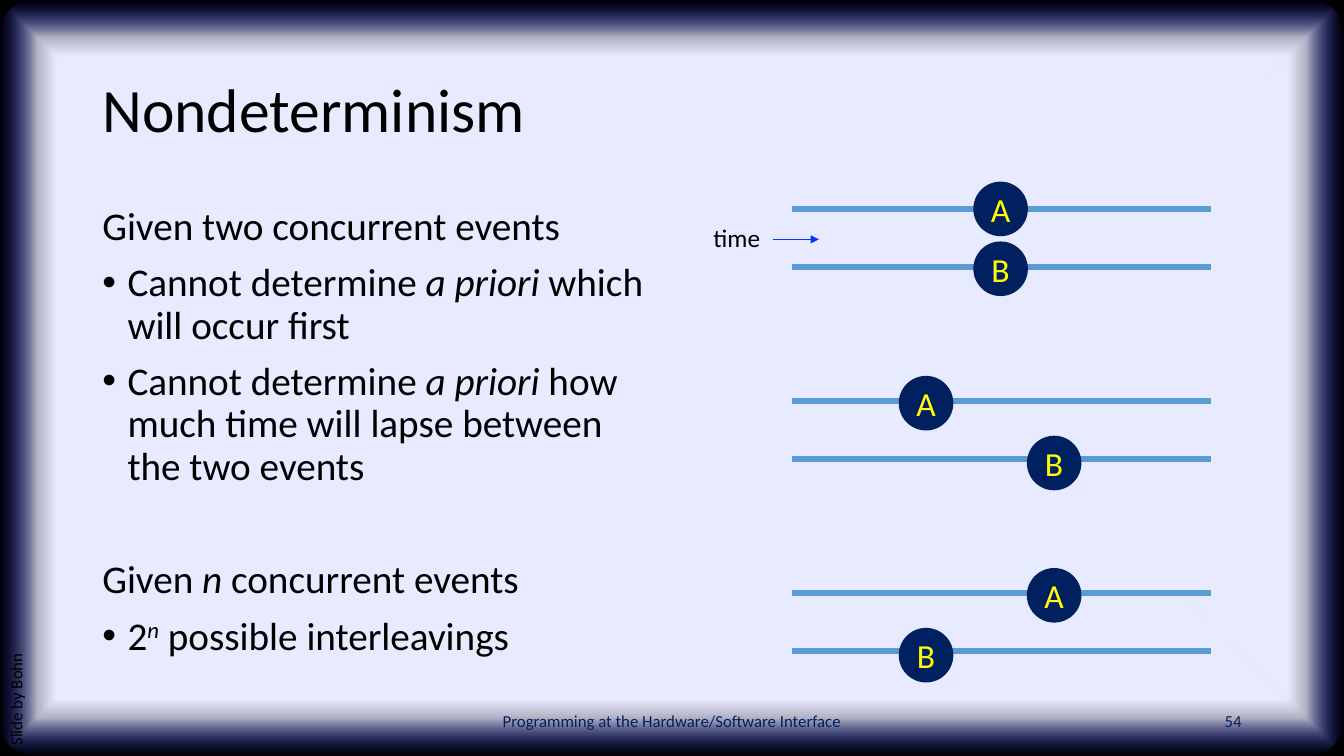
"""Build a slide on the nondeterminism of concurrent events."""
from lxml.etree import SubElement as Sub
from pptx import Presentation
from pptx.dml.color import RGBColor
from pptx.enum.shapes import MSO_CONNECTOR as Link, MSO_SHAPE as Form
from pptx.enum.text import MSO_ANCHOR as Anchor, PP_ALIGN as Align
from pptx.oxml import parse_xml
from pptx.oxml.ns import nsdecls, qn
from pptx.util import Pt

SCALE = 9525
BLACK = RGBColor(0x00, 0x00, 0x00)
NAVY = RGBColor(0x00, 0x20, 0x60)
SKY = RGBColor(0x5B, 0x9B, 0xD5)
BLUE = RGBColor(0x04, 0x32, 0xFF)
YELLOW = RGBColor(0xFF, 0xFF, 0x00)
FACE = "Calibri"

GLOW = f"""<a:gradFill rotWithShape="1" {nsdecls('a')}><a:gsLst>
<a:gs pos="85000"><a:srgbClr val="E8EAFF"/></a:gs>
<a:gs pos="90000"><a:srgbClr val="E8EAFF"><a:alpha val="75000"/></a:srgbClr></a:gs>
<a:gs pos="100000"><a:srgbClr val="162AFF"><a:alpha val="0"/></a:srgbClr></a:gs>
</a:gsLst><a:path path="shape">
<a:fillToRect l="50000" t="50000" r="50000" b="50000"/></a:path></a:gradFill>"""

BODY = [
    ("Given two concurrent events", False, 0),
    ("Cannot determine *a priori* which will occur first", True, 10),
    ("Cannot determine *a priori* how much time will lapse between the two events",
     True, 10),
    ("Given *n* concurrent events", False, 51),
    ("2*n* possible interleavings", True, 10),
]
PAIRS = [(173, 927, 927), (358, 856, 978), (541, 978, 856)]


def px(*sizes):
    """Turn pixel lengths into EMU."""
    return [size * SCALE for size in sizes]


def style(para, size, color, align=Align.LEFT):
    """Set the font and alignment of a paragraph."""
    para.alignment = align
    font = para.font
    font.name, font.size, font.color.rgb = FACE, Pt(size), color


def label(slide, box, text, size, color=BLACK, align=Align.LEFT,
          anchor=Anchor.MIDDLE, wrap=True):
    """Add a text box with one line of text."""
    shape = slide.shapes.add_textbox(*px(*box))
    frame = shape.text_frame
    frame.word_wrap, frame.vertical_anchor = wrap, anchor
    frame.text = text
    style(frame.paragraphs[0], size, color, align)
    return shape


def bullet(para):
    """Give a paragraph a hanging bullet."""
    props = para._p.get_or_add_pPr()
    props.set("marL", str(24 * SCALE))
    props.set("indent", str(-24 * SCALE))
    Sub(props, qn("a:buFont"), typeface="Arial")
    Sub(props, qn("a:buChar"), char="•")


def body(slide):
    """Add the main text, with starred words in italics."""
    frame = slide.shapes.add_textbox(*px(88, 192, 544, 457)).text_frame
    frame.word_wrap = True
    for row, (text, dot, gap) in enumerate(BODY):
        para = frame.add_paragraph() if row else frame.paragraphs[0]
        para.line_spacing, para.space_before = 0.9, Pt(gap)
        if dot:
            bullet(para)
        style(para, 28, BLACK)
        for part, words in enumerate(text.split("*")):
            run = para.add_run()
            run.text = words
            if part % 2:
                run.font.italic = True
    power = frame.paragraphs[-1].runs[1]
    power._r.get_or_add_rPr().set("baseline", "30000")


def line(slide, left, right, y, color, width):
    """Add a level line and return it."""
    link = slide.shapes.add_connector(Link.STRAIGHT, *px(left, y, right, y))
    link.line.color.rgb, link.line.width = color, Pt(width)
    Sub(link._element.spPr, qn("a:effectLst"))
    return link


def event(slide, x, y, name):
    """Add a round event marker."""
    dot = slide.shapes.add_shape(Form.OVAL, *px(x, y, 52, 52))
    dot.shadow.inherit = False
    dot.fill.solid()
    dot.fill.fore_color.rgb = NAVY
    dot.line.fill.background()
    frame = dot.text_frame
    frame.margin_left = frame.margin_right = 0
    frame.vertical_anchor = Anchor.MIDDLE
    frame.text = name
    style(frame.paragraphs[0], 24, YELLOW, Align.CENTER)


def backdrop(slide):
    """Paint the black ground and the glowing panel behind the title."""
    ground = slide.background.fill
    ground.solid()
    ground.fore_color.rgb = BLACK
    panel = slide.shapes.add_shape(Form.ROUNDED_RECTANGLE, *px(0, 0, 1280, 720))
    panel.adjustments[0] = 0.048
    panel.shadow.inherit = False
    panel.line.fill.background()
    panel._element.spPr.find(qn("a:prstGeom")).addnext(parse_xml(GLOW))
    slide.shapes.title.element.addprevious(panel.element)


def heading(slide):
    """Place and format the title."""
    title = slide.shapes.title
    title.left, title.top, title.width, title.height = px(88, 38, 1104, 139)
    frame = title.text_frame
    frame.text, frame.vertical_anchor = "Nondeterminism", Anchor.MIDDLE
    para = frame.paragraphs[0]
    para.line_spacing = 0.9
    style(para, 44, BLACK)


def main():
    """Build and save the slide."""
    deck = Presentation()
    deck.slide_width, deck.slide_height = px(1280, 720)
    slide = deck.slides.add_slide(deck.slide_layouts[5])
    backdrop(slide)
    heading(slide)
    body(slide)
    label(slide, (424, 667, 432, 38),
          "Programming at the Hardware/Software Interface", 12, NAVY, Align.CENTER)
    label(slide, (904, 667, 288, 38), "54", 12, NAVY, Align.RIGHT)
    credit = label(slide, (-234, 447, 507, 38), "Slide by Bohn", 12,
                   anchor=Anchor.TOP)
    credit.rotation = 270
    label(slide, (670, 207, 64, 38), "time", 18, anchor=Anchor.TOP, wrap=False)
    arrow = line(slide, 736, 780, 228, BLUE, 1)
    Sub(arrow.line._get_or_add_ln(), qn("a:tailEnd"), type="triangle")
    for row, (top, first, second) in enumerate(PAIRS):
        for lane, (x, name) in enumerate([(first, "A"), (second, "B")]):
            line(slide, 754, 1153, 199 + 183 * row + 55 * lane, SKY, 4.5)
            event(slide, x, top + 57 * lane, name)
    deck.save("out.pptx")


if __name__ == "__main__":
    main()
